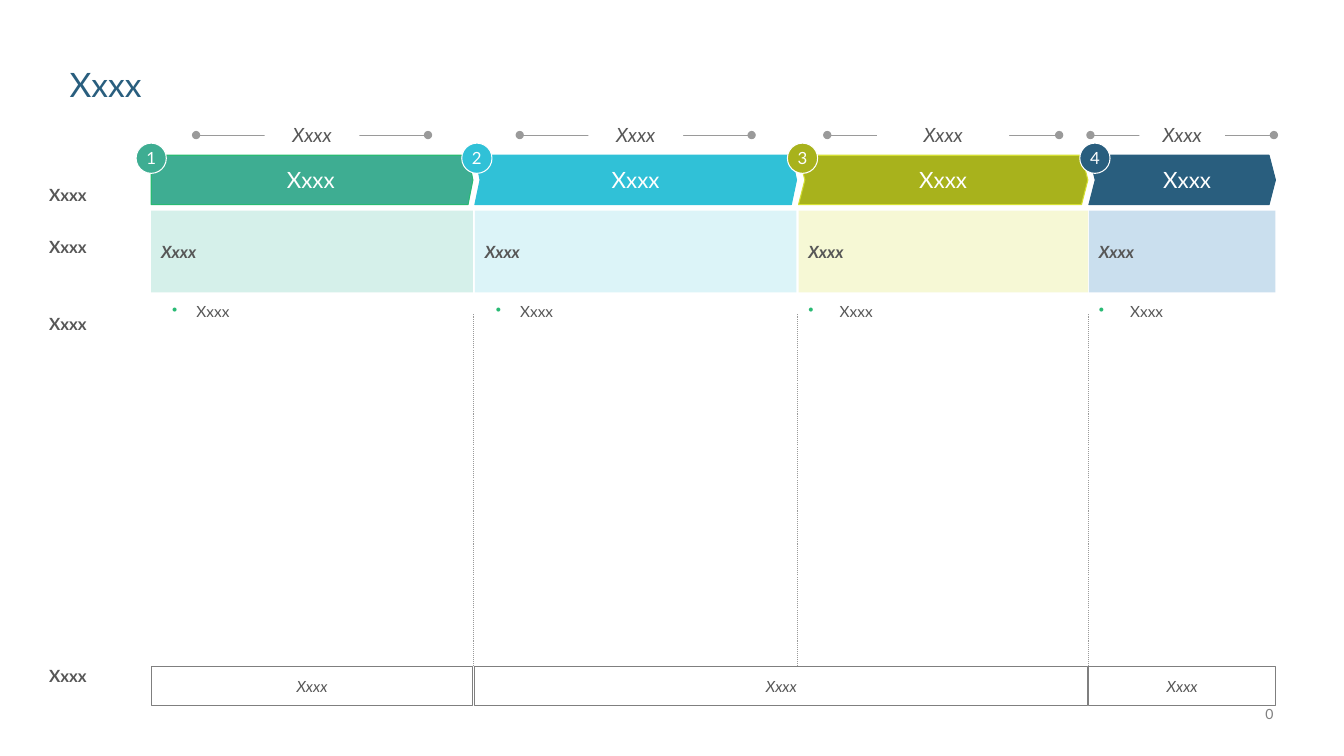
from lxml import etree
from pptx import Presentation
from pptx.dml.color import RGBColor
from pptx.enum.dml import MSO_LINE
from pptx.enum.shapes import MSO_CONNECTOR, MSO_SHAPE
from pptx.enum.text import MSO_ANCHOR, PP_ALIGN
from pptx.oxml.ns import qn
from pptx.util import Inches, Pt

RECT, OVAL = MSO_SHAPE.RECTANGLE, MSO_SHAPE.OVAL
PLATE, CHEVRON = MSO_SHAPE.PENTAGON, MSO_SHAPE.CHEVRON
STRAIGHT, DOT = MSO_CONNECTOR.STRAIGHT, MSO_LINE.ROUND_DOT
TOP, MIDDLE, BOTTOM = MSO_ANCHOR.TOP, MSO_ANCHOR.MIDDLE, MSO_ANCHOR.BOTTOM
LEFT, CENTER, RIGHT = PP_ALIGN.LEFT, PP_ALIGN.CENTER, PP_ALIGN.RIGHT

COLORS = {
    "white": "FFFFFF", "text": "575757", "title": "295E7E",
    "rule": "9A9A9A", "frame": "7F7F7F", "bullet": "29BA74",
    "green": "3EAD92", "mint": "D5F0EA", "edge": "29BA74",
    "cyan": "30C1D7", "ice": "DCF4F8",
    "olive": "A8B21C", "cream": "F6F8D5", "lime": "D4DF33",
    "navy": "295E7E", "sky": "CADFEE",
}
PAD = (0.1, 0.05, 0.1, 0.05)
FLAT = (0, 0, 0, 0)
STAGES = [
    dict(box=(1.5, 3.19), form=PLATE, adj=0.098, fill="green", edge="edge", tint="mint",
         label=0.94, span=2.3, badge=1.35, indent=(0.35, -0.24)),
    dict(box=(4.71, 3.19), form=CHEVRON, adj=0.106, fill="cyan", edge="cyan", tint="ice",
         label=0.94, span=2.3, badge=4.58, indent=(0.35, -0.24)),
    dict(box=(7.92, 2.87), form=CHEVRON, adj=0.129, fill="olive", edge="lime", tint="cream",
         label=1.31, span=2.3, badge=7.81, indent=(0.31, -0.31)),
    dict(box=(10.8, 1.85), form=CHEVRON, adj=0.129, fill="navy", edge="navy", tint="sky",
         label=0.85, span=1.82, badge=10.71, indent=(0.31, -0.31), inset=(0.1, 0, 0, 0)),
]


def paint(name):
    """Return the named colour."""
    return RGBColor.from_string(COLORS[name])


def write(shape, text, size=12, color="text", bold=False, italic=False,
          align=LEFT, anchor=TOP, inset=PAD):
    """Put formatted text in a shape and return its paragraph."""
    frame = shape.text_frame
    frame.word_wrap = True
    frame.vertical_anchor = anchor
    (frame.margin_left, frame.margin_top,
     frame.margin_right, frame.margin_bottom) = map(Inches, inset)
    para = frame.paragraphs[0]
    para.alignment = align
    run = para.add_run()
    run.text = text
    font = run.font
    font.name, font.size, font.bold, font.italic = "Lato", Pt(size), bold, italic
    font.color.rgb = paint(color)
    return para


def note(slide, box, text, **style):
    """Add a text box and return its paragraph."""
    return write(slide.shapes.add_textbox(*map(Inches, box)), text, **style)


def block(slide, form, box, text, fill=None, edge=None, adj=None, **style):
    """Add a preset shape holding text."""
    shape = slide.shapes.add_shape(form, *map(Inches, box))
    shape.shadow.inherit = False
    if adj is not None:
        shape.adjustments[0] = adj
    if fill:
        shape.fill.solid()
        shape.fill.fore_color.rgb = paint(fill)
    else:
        shape.fill.background()
    if edge:
        shape.line.color.rgb = paint(edge)
        shape.line.width = Pt(0.75)
    else:
        shape.line.fill.background()
    write(shape, text, anchor=MIDDLE, **style)


def rule(slide, start, end, dash=None, ends=False):
    """Draw a thin grey line, dotted or with round ends."""
    line = slide.shapes.add_connector(STRAIGHT, *map(Inches, start + end))
    line.line.color.rgb = paint("rule")
    line.line.width = Pt(0.75)
    if dash:
        line.line.dash_style = dash
    if ends:
        for tag in ("a:headEnd", "a:tailEnd"):
            etree.SubElement(line.line._get_or_add_ln(), qn(tag), type="oval")
    etree.SubElement(line._element.spPr, qn("a:effectLst"))


def dot(para, margin, hang):
    """Give a paragraph a coloured bullet and a hanging indent."""
    props = para._p.get_or_add_pPr()
    props.set("marL", str(Inches(margin)))
    props.set("indent", str(Inches(hang)))
    tint = etree.SubElement(props, qn("a:buClr"))
    etree.SubElement(tint, qn("a:srgbClr"), val=COLORS["bullet"])
    etree.SubElement(props, qn("a:buChar"), char="•")


def heading(slide, box):
    """Place and format the title."""
    title = slide.shapes.title
    title.left, title.top, title.width, title.height = map(Inches, box)
    write(title, "Xxxx", size=24, color="title", inset=FLAT).line_spacing = 0.9


def labels(slide, left):
    """Write the row labels down the left side."""
    for top, high, anchor in ((1.43, 1, MIDDLE), (2.3, 1, TOP), (3.06, 1, TOP), (6.56, 0.42, TOP)):
        note(slide, (left, top, 1, high), "Xxxx", bold=True, anchor=anchor)


def stage(slide, number, top, box, form, adj, fill, edge, tint, label, span,
          badge, indent, inset=FLAT):
    """Build one stage column below the given top."""
    left, wide = box
    mid = left + wide / 2
    line = top + 0.16
    rule(slide, (mid - span / 2, line), (mid + span / 2, line), ends=True)
    block(slide, RECT, (mid - label / 2, top + 0.01, label, 0.3), "Xxxx",
          fill="white", size=14, italic=True, align=CENTER)
    block(slide, form, (left, top + 0.36, wide, 0.49), "Xxxx", fill=fill, edge=edge,
          adj=adj, size=16, color="white", align=CENTER, inset=inset)
    block(slide, RECT, (left, top + 0.91, wide, 0.81), "Xxxx", fill=tint, bold=True, italic=True)
    dot(note(slide, (left, top + 1.77, wide, 1), "Xxxx", size=11), *indent)
    block(slide, OVAL, (badge, top + 0.24, 0.3, 0.3), str(number), fill=fill,
          edge="white", color="white", align=CENTER, inset=FLAT)


def footer(slide, top):
    """Draw the framed bottom row and the page number."""
    for left, wide in ((1.5, 3.19), (4.71, 6.08), (10.8, 1.85)):
        block(slide, RECT, (left, top, wide, 0.39), "Xxxx", edge="frame",
              size=11, italic=True, align=CENTER)
    note(slide, (12.21, top + 0.39, 0.42, 0.17), "0", size=10, color="frame",
         align=RIGHT, anchor=BOTTOM, inset=FLAT)


def main():
    """Build and save the slide."""
    deck = Presentation()
    deck.slide_width, deck.slide_height = Inches(13.33), Inches(7.5)
    slide = deck.slides.add_slide(deck.slide_layouts[5])
    heading(slide, (0.69, 0.68, 11.96, 0.36))
    labels(slide, 0.39)
    for x in (4.7, 7.91, 10.8):
        rule(slide, (x, 6.61), (x, 3.11), dash=DOT)
    for number, item in enumerate(STAGES, 1):
        stage(slide, number, 1.18, **item)
    footer(slide, 6.61)
    deck.save("out.pptx")


if __name__ == "__main__":
    main()
